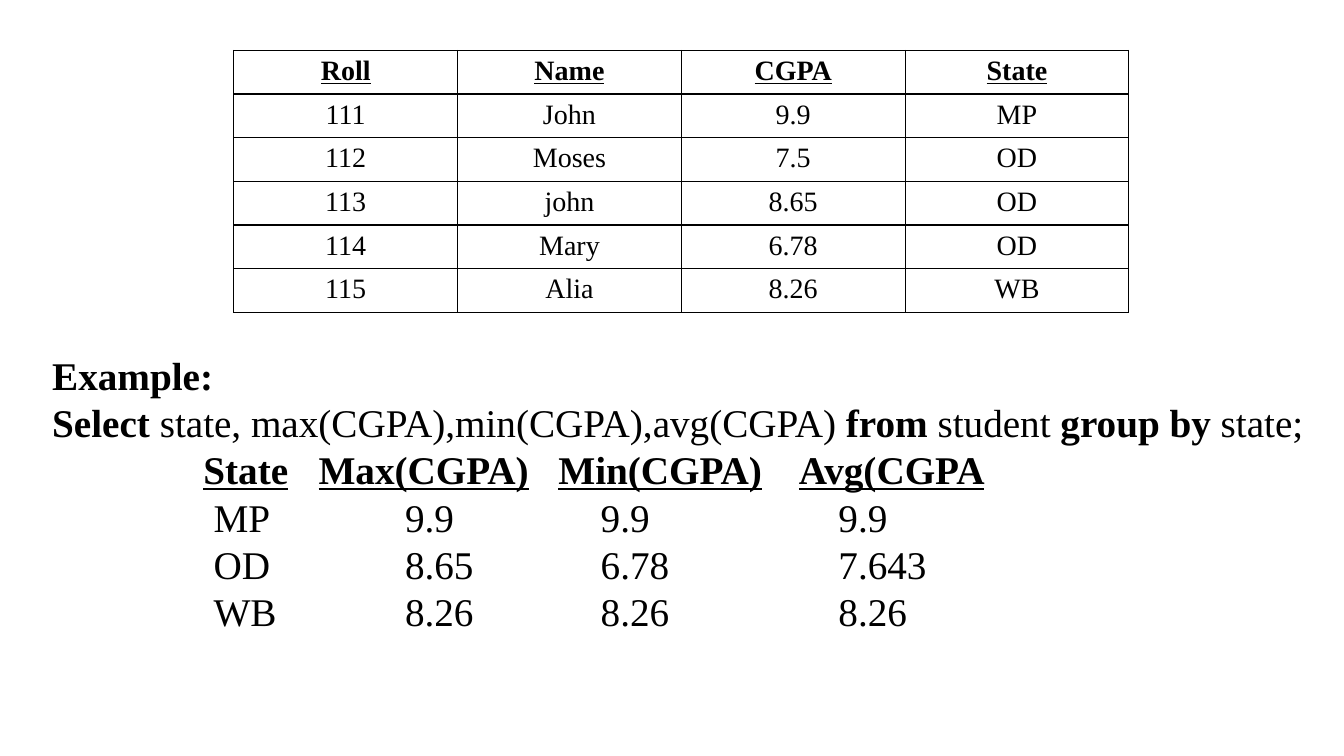
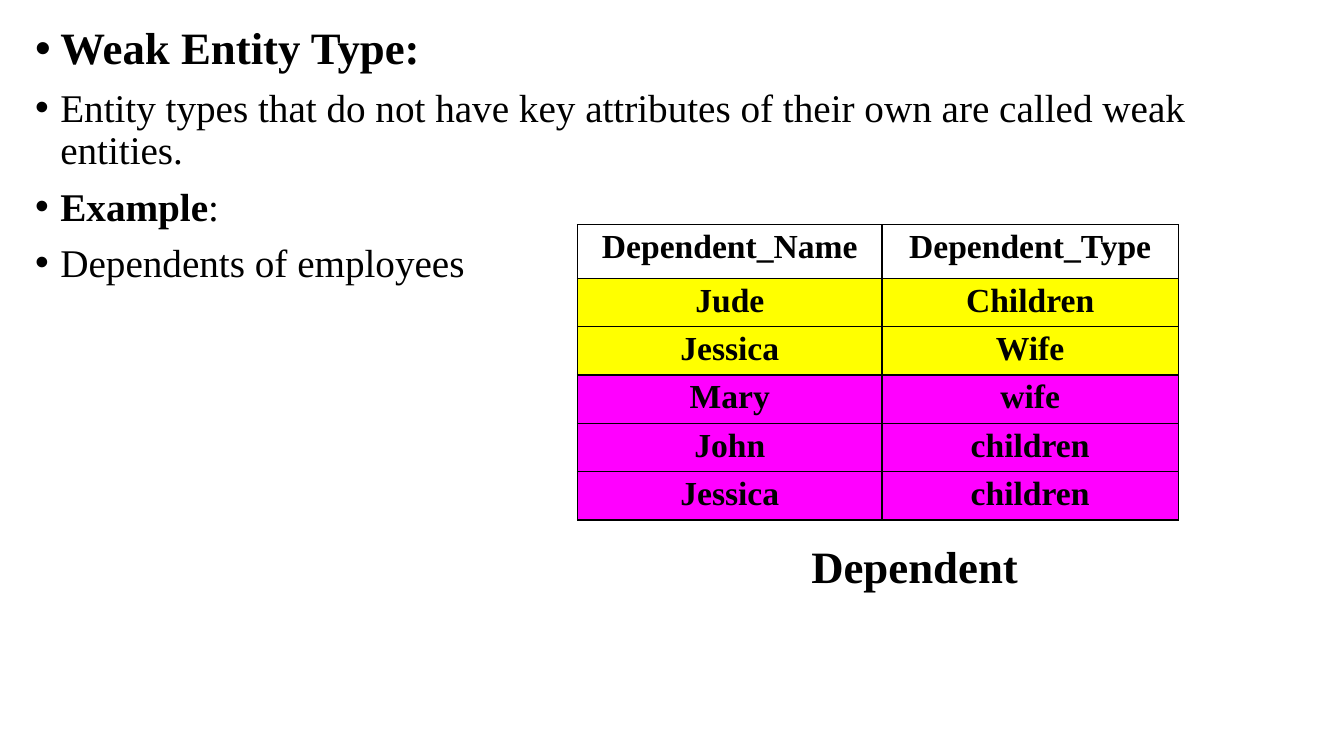
from dataclasses import dataclass

from lxml.etree import SubElement
from pptx import Presentation
from pptx.dml.color import RGBColor
from pptx.enum.text import MSO_AUTO_SIZE, PP_ALIGN
from pptx.oxml.ns import qn
from pptx.slide import Slide
from pptx.util import Emu, Inches, Pt

HUES = {"ink": "000000", "paper": "FFFFFF", "sun": "FFFF00", "pink": "FF00FF"}
FACE = "Times New Roman"
WIDE, HIGH = Inches(13.333), Inches(7.5)
COLS = 160
HANG = 3


@dataclass(frozen=True)
class Area:
    """Place and size in grid units."""
    left: float
    top: float
    wide: float
    high: float


@dataclass(frozen=True)
class Bit:
    """A stretch of text with its own style."""
    text: str
    bold: bool = False
    under: bool = False


@dataclass(frozen=True)
class Line:
    """A paragraph with its size, tab stops and layout."""
    bits: tuple[Bit, ...]
    size: int = 28
    tabs: tuple[float, ...] = ()
    bullet: bool = False
    align: PP_ALIGN = PP_ALIGN.LEFT


@dataclass(frozen=True)
class Sheet:
    """A ruled table with its grid, text and row fills."""
    left: float
    top: float
    cols: tuple[float, ...]
    rows: tuple[float, ...]
    data: tuple[str, ...]
    fills: tuple[str, ...]
    size: int
    pad: float
    plain: bool = False


HEAD = (18, 31.7, 60.25, 88.9, 112.9)
BODY = (19.2, 42, 65.3, 93.6)

QUERY = (
    Line((Bit("Example:", True),)),
    Line((Bit("Select", True), Bit(" state, max(CGPA),min(CGPA),avg(CGPA) "),
          Bit("from ", True), Bit("student "), Bit("group by ", True), Bit("state;"))),
    Line((Bit("\t"), Bit("State\tMax(CGPA)\tMin(CGPA)\tAvg(CGPA\t", True, True)), tabs=HEAD),
    *(Line((Bit("\t" + "\t".join(row.split())),), tabs=BODY)
      for row in ("MP 9.9 9.9 9.9", "OD 8.65 6.78 7.643", "WB 8.26 8.26 8.26")),
)
WEAK = (
    Line((Bit("Weak Entity Type:", True),), 32, bullet=True),
    Line((Bit("Entity types that do not have key attributes of their own "
              "are called weak entities."),), bullet=True),
    Line((Bit("Example", True), Bit(":")), bullet=True),
    Line((Bit("Dependents of employees"),), bullet=True),
)
LABEL = (Line((Bit("Dependent", True),), 32, align=PP_ALIGN.CENTER),)

MARKS = Sheet(
    27.84, 6, (26.64,) * 4, (5.2,) * 6,
    ("Roll Name CGPA State", "111 John 9.9 MP", "112 Moses 7.5 OD",
     "113 john 8.65 OD", "114 Mary 6.78 OD", "115 Alia 8.26 WB"),
    ("paper",) * 6, 20, 0.6, True)
KIN = Sheet(
    68.76, 26.76, (36.24, 35.28), (6.36,) + (5.64,) * 5,
    ("Dependent_Name Dependent_Type", "Jude Children", "Jessica Wife",
     "Mary wife", "John children", "Jessica children"),
    ("paper",) + ("sun",) * 2 + ("pink",) * 3, 24, 0.48)


def unit(count: float) -> Emu:
    """Turn grid units into a length."""
    return Emu(round(WIDE * count / COLS))


def hue(name: str) -> RGBColor:
    """Look up a colour by name."""
    return RGBColor.from_string(HUES[name])


def style(font, size: int) -> None:
    """Set the shared face, colour and a size."""
    font.name, font.size = FACE, Pt(size)
    font.color.rgb = hue("ink")


def write(para, line: Line, first: bool) -> None:
    """Fill one paragraph."""
    para.alignment = line.align
    props = para._p.get_or_add_pPr()
    if line.bullet:
        para.line_spacing = 0.9
        para.space_before = Pt(0 if first else 10)
        props.set("marL", str(unit(HANG)))
        props.set("indent", str(-unit(HANG)))
        SubElement(props, qn("a:buFont"), typeface="Arial")
        SubElement(props, qn("a:buChar"), char="•")
    if line.tabs:
        stops = SubElement(props, qn("a:tabLst"))
        for stop in line.tabs:
            SubElement(stops, qn("a:tab"), pos=str(unit(stop)), algn="l")
    style(para.font, line.size)
    same = len({(bit.bold, bit.under) for bit in line.bits}) == 1
    if same:
        para.font.bold = line.bits[0].bold
    for bit in line.bits:
        run = para.add_run()
        run.text = bit.text
        if not same:
            run.font.bold, run.font.underline = bit.bold, bit.under


def prose(slide: Slide, area: Area, lines: tuple[Line, ...], grow: bool = True) -> None:
    """Add a text box of lines."""
    box = slide.shapes.add_textbox(*map(unit, (area.left, area.top, area.wide, area.high)))
    frame = box.text_frame
    frame.word_wrap = True
    frame.auto_size = MSO_AUTO_SIZE.SHAPE_TO_FIT_TEXT if grow else MSO_AUTO_SIZE.NONE
    for spot, line in enumerate(lines):
        para = frame.add_paragraph() if spot else frame.paragraphs[0]
        write(para, line, spot == 0)


def rule(cell) -> None:
    """Draw the four borders of a cell."""
    props = cell._tc.get_or_add_tcPr()
    for spot, side in enumerate(("lnL", "lnR", "lnT", "lnB")):
        edge = props.makeelement(qn(f"a:{side}"), {"w": str(Pt(1))})
        fill = SubElement(edge, qn("a:solidFill"))
        SubElement(fill, qn("a:srgbClr"), val=HUES["ink"])
        props.insert(spot, edge)


def grid(slide: Slide, sheet: Sheet) -> None:
    """Add a ruled table."""
    size = (len(sheet.rows), len(sheet.cols))
    area = (sheet.left, sheet.top, sum(sheet.cols), sum(sheet.rows))
    table = slide.shapes.add_table(*size, *map(unit, area)).table
    table.first_row = table.horz_banding = False
    for col, wide in zip(table.columns, sheet.cols):
        col.width = unit(wide)
    for spot, (row, high) in enumerate(zip(table.rows, sheet.rows)):
        row.height = unit(high)
        for cell, word in zip(row.cells, sheet.data[spot].split()):
            cell.margin_top = cell.margin_bottom = unit(sheet.pad)
            cell.fill.solid()
            cell.fill.fore_color.rgb = hue(sheet.fills[spot])
            rule(cell)
            para = cell.text_frame.paragraphs[0]
            para.text, para.alignment = word, PP_ALIGN.CENTER
            style(para.font, sheet.size)
            para.font.bold = spot == 0 or not sheet.plain
            para.font.underline = spot == 0 and sheet.plain


def main() -> None:
    """Build and save the deck."""
    deck = Presentation()
    deck.slide_width, deck.slide_height = WIDE, HIGH
    blank = deck.slide_layouts[6]
    group = deck.slides.add_slide(blank)
    prose(group, Area(5.04, 41.28, 152.16, 35.16), QUERY)
    grid(group, MARKS)
    weak = deck.slides.add_slide(blank)
    prose(weak, Area(3, 2.52, 152.4, 84.48), WEAK, False)
    grid(weak, KIN)
    prose(weak, Area(93.72, 63.6, 30.36, 7.68), LABEL)
    deck.save("out.pptx")


if __name__ == "__main__":
    main()
